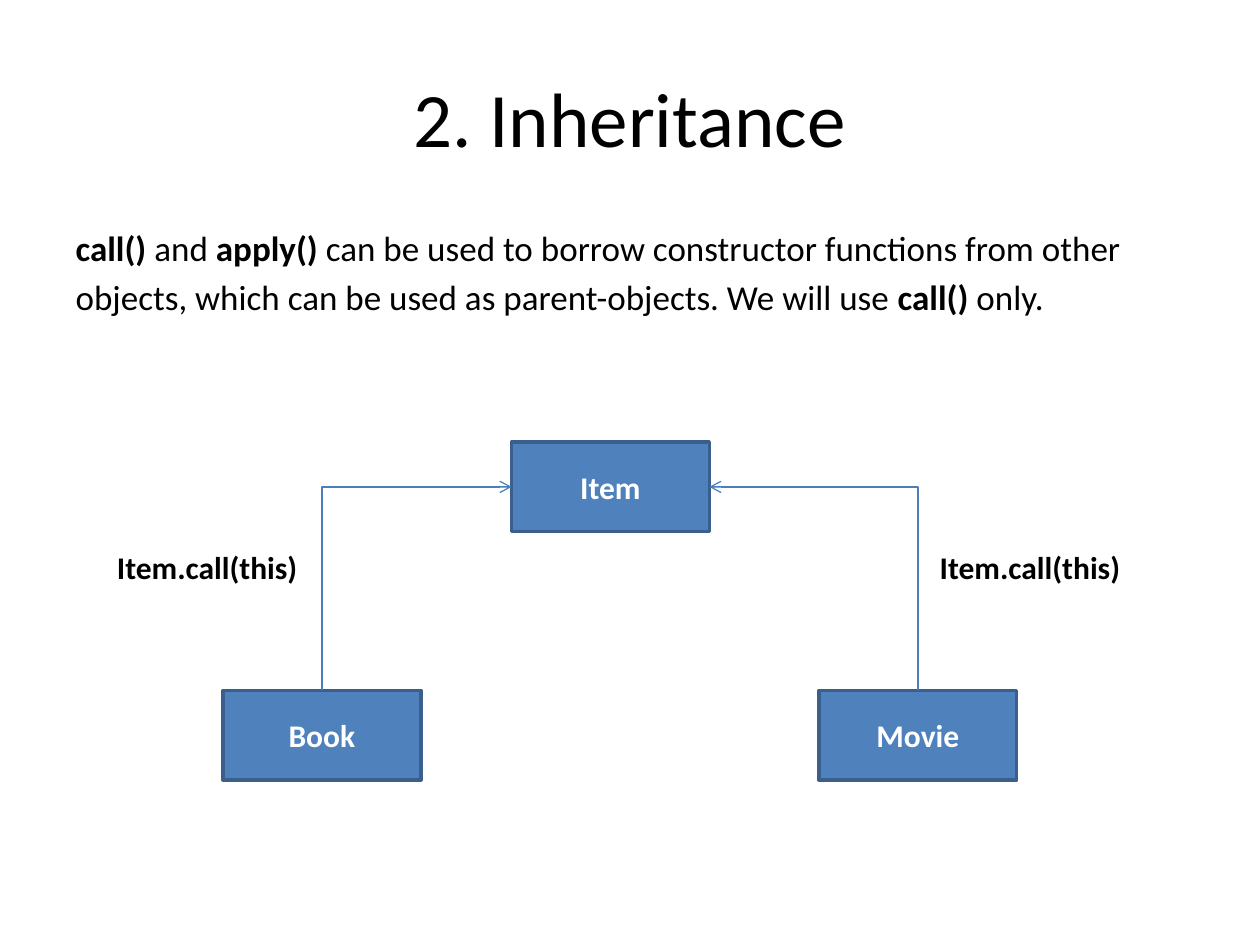
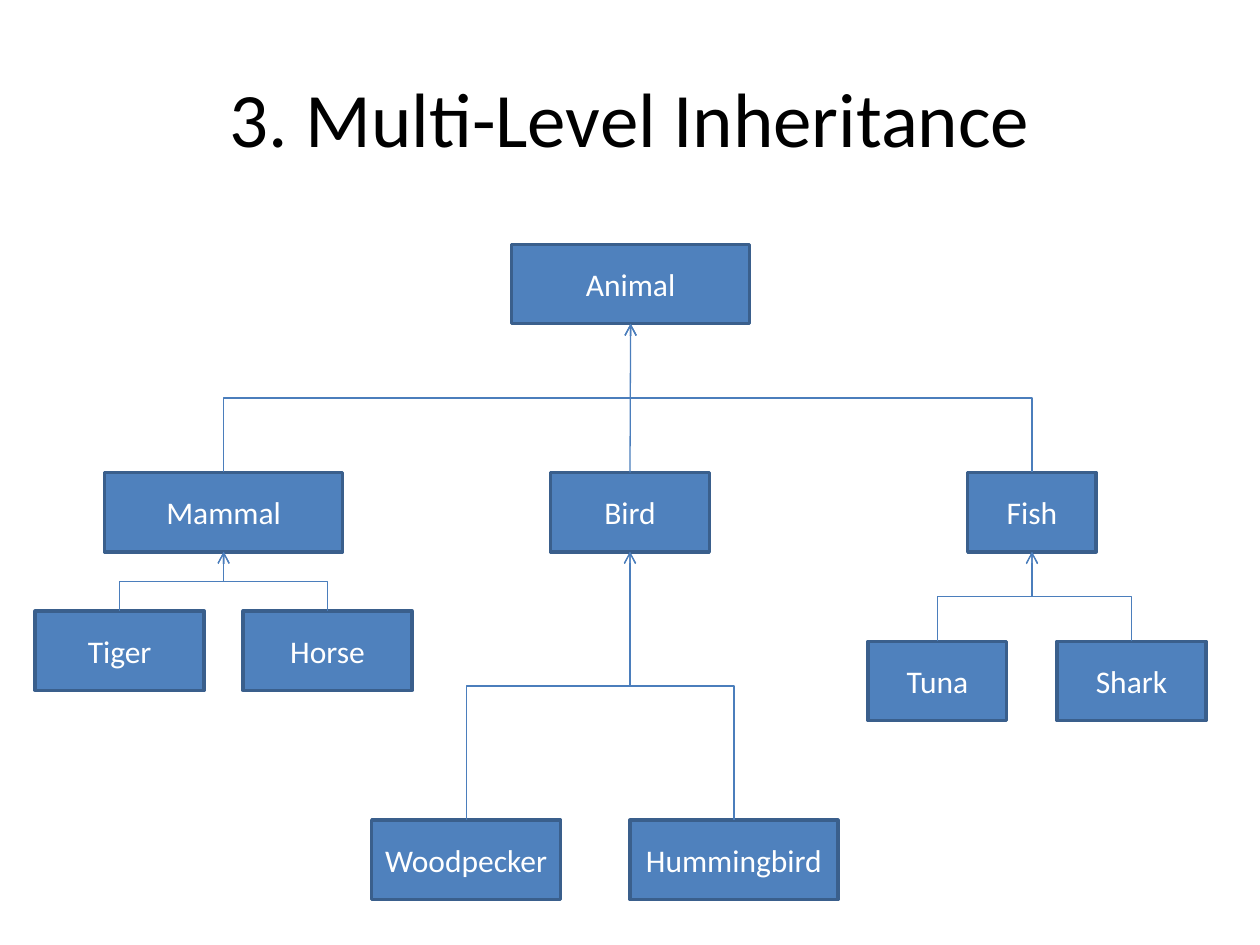
"""Build two slides that diagram inheritance between objects."""
import dataclasses

import lxml.etree
import pptx
import pptx.dml.color
import pptx.enum.shapes
import pptx.enum.text
import pptx.oxml.ns
import pptx.util

Inches = pptx.util.Inches
Pt = pptx.util.Pt
RGBColor = pptx.dml.color.RGBColor
qn = pptx.oxml.ns.qn

TOP, LEFT, BOTTOM, RIGHT = range(4)


@dataclasses.dataclass(frozen=True)
class Theme:
    font: str = "Calibri"
    text: RGBColor = RGBColor(0x00, 0x00, 0x00)
    box_text: RGBColor = RGBColor(0xFF, 0xFF, 0xFF)
    box_fill: RGBColor = RGBColor(0x4F, 0x81, 0xBD)
    box_line: RGBColor = RGBColor(0x3A, 0x5F, 0x8C)
    arrow: RGBColor = RGBColor(0x4B, 0x7E, 0xBC)
    title_size: Pt = Pt(44)
    body_size: Pt = Pt(20)
    label_size: Pt = Pt(18)
    box_line_width: Pt = Pt(2)
    arrow_width: Pt = Pt(0.75)


class DiagramDeck:
    def __init__(self, theme):
        self.theme = theme
        self.presentation = pptx.Presentation()
        self.presentation.slide_width = Inches(10)
        self.presentation.slide_height = Inches(7.5)
        self.slide = None

    def add_slide(self, title, layout_name):
        layout = self.presentation.slide_layouts.get_by_name(layout_name)
        self.slide = self.presentation.slides.add_slide(layout)
        shape = self.slide.shapes.title
        self.place(shape, 0.5, 0.3, 9, 1.25)
        shape.text_frame.text = title
        self.format_text(shape, self.theme.title_size, self.theme.text)

    def place(self, shape, left, top, width, height):
        shape.left, shape.top = Inches(left), Inches(top)
        shape.width, shape.height = Inches(width), Inches(height)

    def format_text(self, shape, size, color, bold=None):
        for paragraph in shape.text_frame.paragraphs:
            for run in paragraph.runs:
                run.font.name = self.theme.font
                run.font.size = size
                run.font.color.rgb = color
                if bold is not None:
                    run.font.bold = bold

    def add_body(self, lines):
        shape = self.slide.placeholders[1]
        self.place(shape, 0.5, 1.75, 9, 4.95)
        text_frame = shape.text_frame
        for index, line in enumerate(lines):
            paragraph = text_frame.add_paragraph() if index else text_frame.paragraphs[0]
            properties = paragraph._p.get_or_add_pPr()
            lxml.etree.SubElement(properties, qn("a:buNone"))
            for text, bold in line:
                run = paragraph.add_run()
                run.text = text
                run.font.bold = bold
        self.format_text(shape, self.theme.body_size, self.theme.text)

    def add_box(self, text, left, top, width, height, bold=False):
        shape = self.slide.shapes.add_shape(
            pptx.enum.shapes.MSO_SHAPE.RECTANGLE,
            Inches(left), Inches(top), Inches(width), Inches(height))
        shape.shadow.inherit = False
        shape.fill.solid()
        shape.fill.fore_color.rgb = self.theme.box_fill
        shape.line.color.rgb = self.theme.box_line
        shape.line.width = self.theme.box_line_width
        shape.text_frame.text = text
        shape.text_frame.vertical_anchor = pptx.enum.text.MSO_ANCHOR.MIDDLE
        shape.text_frame.paragraphs[0].alignment = pptx.enum.text.PP_ALIGN.CENTER
        self.format_text(shape, self.theme.label_size, self.theme.box_text, bold)
        return shape

    def add_label(self, text, left, top, width, height):
        shape = self.slide.shapes.add_textbox(
            Inches(left), Inches(top), Inches(width), Inches(height))
        shape.text_frame.text = text
        shape.text_frame.word_wrap = False
        shape.text_frame.auto_size = pptx.enum.text.MSO_AUTO_SIZE.SHAPE_TO_FIT_TEXT
        self.format_text(shape, self.theme.label_size, self.theme.text, True)

    def add_arrow(self, child, parent, site=BOTTOM):
        start_x, start_y = child.left + child.width // 2, child.top
        end_x, end_y = {
            LEFT: (parent.left, parent.top + parent.height // 2),
            BOTTOM: (parent.left + parent.width // 2, parent.top + parent.height),
            RIGHT: (parent.left + parent.width, parent.top + parent.height // 2),
        }[site]
        straight = abs(end_x - start_x) < Inches(0.02)
        kinds = pptx.enum.shapes.MSO_CONNECTOR
        connector = self.slide.shapes.add_connector(
            kinds.STRAIGHT if straight else kinds.ELBOW, start_x, start_y, end_x, end_y)
        connector.begin_connect(child, TOP)
        connector.end_connect(parent, site)
        if not straight:
            self.turn_upward(connector, start_x, start_y, end_x, end_y)
        if site != BOTTOM:
            connector.element.spPr.find(qn("a:prstGeom")).set("prst", "bentConnector2")
        connector.line.color.rgb = self.theme.arrow
        connector.line.width = self.theme.arrow_width
        line = connector.line._get_or_add_ln()
        lxml.etree.SubElement(line, qn("a:tailEnd"), type="arrow")
        lxml.etree.SubElement(connector.element.spPr, qn("a:effectLst"))

    def turn_upward(self, connector, start_x, start_y, end_x, end_y):
        center_x, center_y = (start_x + end_x) // 2, (start_y + end_y) // 2
        half_rise, half_run = (start_y - end_y) // 2, abs(end_x - start_x) // 2
        direction = 1 if end_x > start_x else -1
        connector.begin_x = center_x + direction * half_rise
        connector.begin_y = center_y + half_run
        connector.end_x = center_x - direction * half_rise
        connector.end_y = center_y - half_run
        connector.rotation = 90 if direction == 1 else 270


def build_inheritance(deck):
    deck.add_slide("2. Inheritance", "Title and Content")
    deck.add_body([
        [("call() ", True), ("and ", False), ("apply()", True),
         (" can be used to borrow constructor functions from other", False)],
        [("objects, which can be used as parent-objects. We will use ", False),
         ("call()", True), (" only.", False)],
    ])
    item, book, movie = [
        deck.add_box(text, left, top, 1.57, 0.71, bold=True)
        for text, left, top in [("Item", 4.06, 3.51), ("Book", 1.77, 5.48), ("Movie", 6.5, 5.48)]
    ]
    deck.add_arrow(book, item, LEFT)
    deck.add_arrow(movie, item, RIGHT)
    for left, width in [(7.36, 1.64), (0.83, 1.7)]:
        deck.add_label("Item.call(this)", left, 4.3, width, 0.4)


def build_multi_level(deck):
    deck.add_slide("3. Multi-Level Inheritance", "Title Only")
    levels = [
        (1.94, [("Animal", None, 4.06, 1.89)]),
        (3.75, [("Mammal", "Animal", 0.83, 1.89), ("Bird", "Animal", 4.37, 1.26),
                ("Fish", "Animal", 7.68, 1.02)]),
        (4.85, [("Tiger", "Mammal", 0.28, 1.34), ("Horse", "Mammal", 1.93, 1.34)]),
        (5.09, [("Tuna", "Fish", 6.89, 1.1), ("Shark", "Fish", 8.39, 1.18)]),
        (6.51, [("Woodpecker", "Bird", 2.95, 1.5), ("Hummingbird", "Bird", 5, 1.65)]),
    ]
    boxes = {}
    for top, animals in levels:
        for name, parent, left, width in animals:
            boxes[name] = deck.add_box(name, left, top, width, 0.63)
            if parent:
                deck.add_arrow(boxes[name], boxes[parent])


def main():
    deck = DiagramDeck(Theme())
    build_inheritance(deck)
    build_multi_level(deck)
    deck.presentation.save("out.pptx")


if __name__ == "__main__":
    main()
